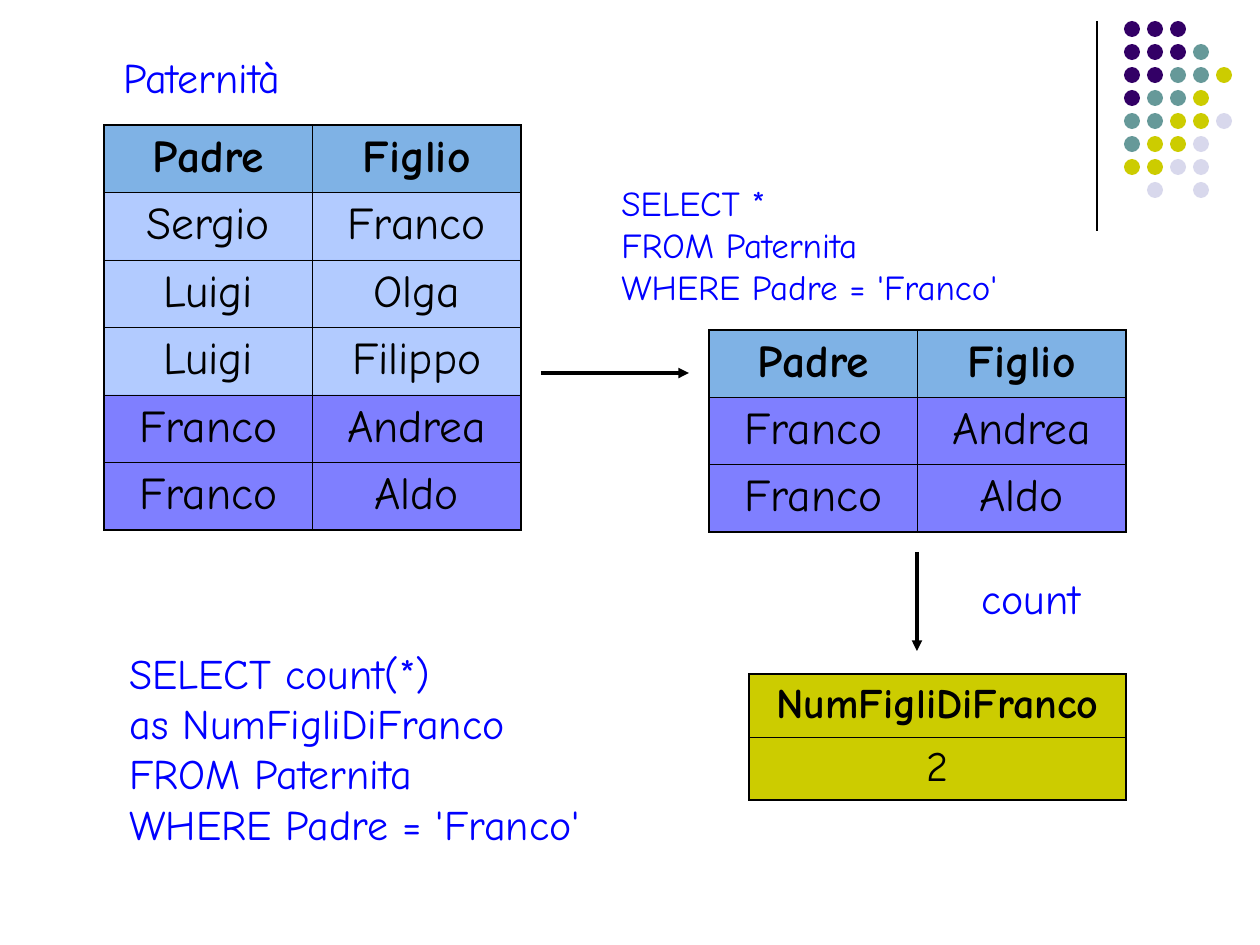
"""Build a slide that counts Franco's children with an SQL query."""
from lxml.etree import SubElement
from pptx import Presentation
from pptx.dml.color import RGBColor
from pptx.enum.shapes import MSO_CONNECTOR, MSO_SHAPE
from pptx.enum.text import MSO_AUTO_SIZE, PP_ALIGN
from pptx.oxml import parse_xml
from pptx.oxml.ns import nsdecls, qn
from pptx.util import Emu, Pt

COLORS = {
    "black": "000000", "blue": "0000FF", "head": "0066CC", "row": "6699FF",
    "plum": "330066", "teal": "669999", "lime": "CCCC00", "mist": "D8D8EC",
}
FONT = "Comic Neue"
SCALE = 914400 / 126


def px(n):
    return Emu(round(n * SCALE))


def write(para, text, size, tint, bold=False):
    run = para.add_run()
    run.text = text
    run.font.name = FONT
    run.font.size = Pt(size)
    run.font.bold = bold
    run.font.color.rgb = RGBColor.from_string(COLORS[tint])


deck = Presentation()
deck.slide_width, deck.slide_height = px(1260), px(945)
slide = deck.slides.add_slide(deck.slide_layouts[6])
shapes = slide.shapes

dots = ["PPP", "PPPT", "PPTTL", "PTTL", "TTLLM", "TLLM", "LLMM", " M M"]
tints = {"P": "plum", "T": "teal", "L": "lime", "M": "mist"}
group = shapes.add_group_shape()
for r, line in enumerate(dots):
    for c, mark in enumerate(line):
        if mark in tints:
            dot = group.shapes.add_shape(
                MSO_SHAPE.OVAL, px(1124 + 23 * c), px(21 + 23 * r), px(16), px(16))
            dot.shadow.inherit = False
            dot.fill.solid()
            dot.fill.fore_color.rgb = RGBColor.from_string(COLORS[tints[mark]])
            dot.line.fill.background()

lines = [
    (1097, 21, 1097, 231, 0.75, False),
    (541, 373, 689, 373, 2, True),
    (917, 552, 917, 651, 2, True),
]
for x1, y1, x2, y2, width, arrow in lines:
    link = shapes.add_connector(
        MSO_CONNECTOR.STRAIGHT, px(x1), px(y1), px(x2), px(y2))
    link.line.width = Pt(width)
    link.line.color.rgb = RGBColor.from_string(COLORS["black"])
    if arrow:
        SubElement(link.line._get_or_add_ln(), qn("a:tailEnd"), type="triangle")
    SubElement(link._element.spPr, qn("a:effectLst"))

head = ("head", "Padre", "Figlio")
sons = [("blue", "Franco", "Andrea"), ("blue", "Franco", "Aldo")]
others = [("row", "Sergio", "Franco"), ("row", "Luigi", "Olga"),
          ("row", "Luigi", "Filippo")]
tables = [
    (104, 125, 417, 405, 26, [head] + others + sons),
    (709, 330, 417, 202, 26, [head] + sons),
    (749, 674, 377, 126, 24, [("lime", "NumFigliDiFranco"), ("lime", "2")]),
]
for x, y, w, h, size, rows in tables:
    tall, wide = len(rows), len(rows[0]) - 1
    grid = shapes.add_table(tall, wide, px(x), px(y), px(w), px(h)).table
    grid.horz_banding = False
    for r, (tint, *words) in enumerate(rows):
        for c, word in enumerate(words):
            cell = grid.cell(r, c)
            cell.fill.solid()
            cell.fill.fore_color.rgb = RGBColor.from_string(COLORS[tint])
            props = cell._tc.get_or_add_tcPr()
            if tint != "lime":
                SubElement(props.find(".//" + qn("a:srgbClr")),
                           qn("a:alpha"), val="50000")
            edges = {"L": c == 0, "R": c == wide - 1,
                     "T": r == 0, "B": r == tall - 1}
            for i, (side, outer) in enumerate(edges.items()):
                width = Pt(1.08 if outer else 0.45)
                props.insert(i, parse_xml(
                    f'<a:ln{side} {nsdecls("a")} w="{width}"><a:solidFill>'
                    f'<a:srgbClr val="{COLORS["black"]}"/>'
                    f'</a:solidFill></a:ln{side}>'))
            para = cell.text_frame.paragraphs[0]
            para.alignment = PP_ALIGN.CENTER
            write(para, word, size, "black", r == 0)

notes = [
    (111, 45, 188, 63, 24, 0, False, ["Paternità"]),
    (54, 641, 665, 214, 24, 1, True,
     ["SELECT count(*)", "as NumFigliDiFranco", "FROM Paternita",
      "WHERE Padre = 'Franco'"]),
    (483, 175, 530, 139, 20, 2, False,
     ["SELECT *", "FROM Paternita", "WHERE Padre = 'Franco'"]),
    (969, 566, 130, 63, 24, 0, False, ["count"]),
]
for x, y, w, h, size, level, wrap, texts in notes:
    frame = shapes.add_textbox(px(x), px(y), px(w), px(h)).text_frame
    frame.word_wrap = wrap
    frame.auto_size = MSO_AUTO_SIZE.SHAPE_TO_FIT_TEXT
    for i, text in enumerate(texts):
        para = frame.add_paragraph() if i else frame.paragraphs[0]
        para.level = level
        para._p.get_or_add_pPr().set("marL", str(px(63 * level)))
        write(para, text, size, "blue")

deck.save("out.pptx")
